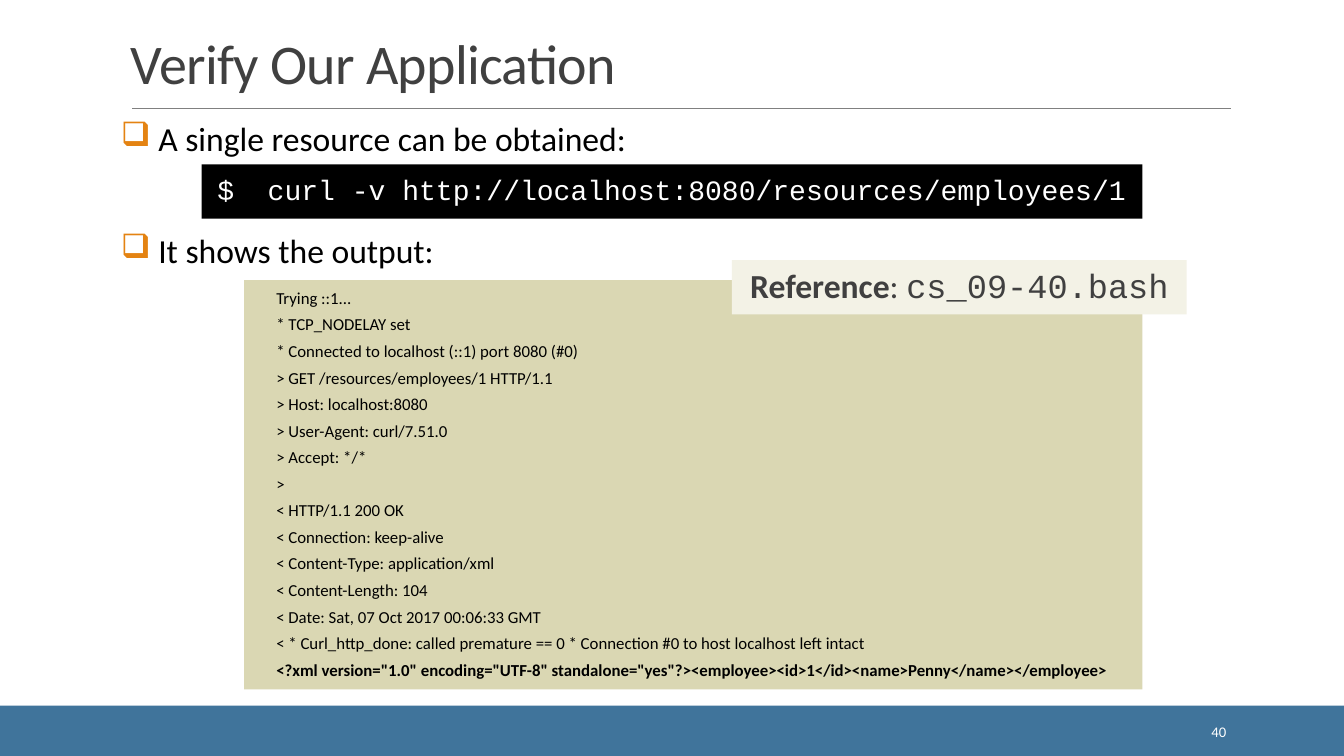
from lxml.etree import SubElement
from pptx import Presentation
from pptx.dml.color import RGBColor
from pptx.enum.shapes import MSO_CONNECTOR, MSO_SHAPE
from pptx.enum.text import MSO_ANCHOR, PP_ALIGN
from pptx.oxml.ns import qn
from pptx.util import Inches, Pt

COLORS = {
    "text": "000000",
    "heading": "404040",
    "white": "FFFFFF",
    "footer": "40749B",
    "rule": "808080",
    "bullet": "E48312",
    "terminal": "000000",
    "output": "DAD7B3",
    "reference": "F3F2E6",
}
SANS, MONO = "Calibri", "Courier New"

OUTPUT_LINES = [
    "Trying ::1...",
    "* TCP_NODELAY set",
    "* Connected to localhost (::1) port 8080 (#0)",
    "> GET /resources/employees/1 HTTP/1.1",
    "> Host: localhost:8080",
    "> User-Agent: curl/7.51.0",
    "> Accept: */*",
    ">",
    "< HTTP/1.1 200 OK",
    "< Connection: keep-alive",
    "< Content-Type: application/xml",
    "< Content-Length: 104",
    "< Date: Sat, 07 Oct 2017 00:06:33 GMT",
    "< * Curl_http_done: called premature == 0 * Connection #0 to host localhost left intact",
    '<?xml version="1.0" encoding="UTF-8" standalone="yes"?>'
    "<employee><id>1</id><name>Penny</name></employee>",
]


class SlideBuilder:
    def __init__(self, slide):
        self.s = slide

    def color(self, name):
        return RGBColor.from_string(COLORS[name])

    def frame(self, sp, anchor, inset):
        """Set wrapping, anchor and side insets of a shape's text."""
        tf = sp.text_frame
        tf.word_wrap = True
        tf.vertical_anchor = anchor
        tf.margin_left = tf.margin_right = Inches(inset)
        tf.margin_top = tf.margin_bottom = Inches(0.05)
        return tf

    def text_box(self, x, y, w, h, anchor=MSO_ANCHOR.TOP, inset=0.1):
        sp = self.s.shapes.add_textbox(Inches(x), Inches(y), Inches(w), Inches(h))
        return self.frame(sp, anchor, inset)

    def panel(self, x, y, w, h, fill):
        sp = self.s.shapes.add_shape(
            MSO_SHAPE.RECTANGLE, Inches(x), Inches(y), Inches(w), Inches(h))
        sp.shadow.inherit = False
        sp.fill.solid()
        sp.fill.fore_color.rgb = self.color(fill)
        sp.line.fill.background()
        return self.frame(sp, MSO_ANCHOR.MIDDLE, 0)

    def rule(self, x1, x2, y):
        line = self.s.shapes.add_connector(
            MSO_CONNECTOR.STRAIGHT, Inches(x1), Inches(y), Inches(x2), Inches(y))
        line.line.color.rgb = self.color("rule")
        line.line.width = Pt(0.5)
        SubElement(line._element.spPr, qn("a:effectLst"))

    def paragraph(self, tf, first=True, align=PP_ALIGN.LEFT, spacing=0.9,
                  before=0, after=0, margin=0, indent=0):
        p = tf.paragraphs[0] if first else tf.add_paragraph()
        p.alignment = align
        p.line_spacing = spacing
        p.space_before = Pt(0 if first else before)
        p.space_after = Pt(after)
        pPr = p._p.get_or_add_pPr()
        pPr.set("marL", str(Inches(margin)))
        pPr.set("indent", str(Inches(indent)))
        return p

    def bullet(self, p, char):
        pPr = p._p.get_or_add_pPr()
        clr = SubElement(pPr, qn("a:buClr"))
        SubElement(clr, qn("a:srgbClr"), val=COLORS["bullet"])
        SubElement(pPr, qn("a:buChar"), char=char)

    def run(self, p, text, size, color="text", font=SANS, bold=False):
        r = p.add_run()
        r.text = text
        r.font.size = Pt(size)
        r.font.name = font
        r.font.bold = bold
        r.font.color.rgb = self.color(color)
        return r


def main():
    prs = Presentation()
    prs.slide_width, prs.slide_height = Inches(13.33), Inches(7.5)
    b = SlideBuilder(prs.slides.add_slide(prs.slide_layouts[6]))

    b.panel(0, 7, 13.33, 0.5, "footer")
    b.rule(1.31, 12.21, 1.08)

    title = b.text_box(1.2, 0.31, 11, 0.69, MSO_ANCHOR.BOTTOM)
    p = b.paragraph(title, spacing=0.85)
    r = b.run(p, "Verify Our Application", 40, "heading")
    r.font._element.set("spc", "-50")

    body = b.text_box(1.2, 1.17, 11, 5.67, inset=0)
    for i, text in enumerate(["A single resource can be obtained:",
                              "It shows the output:"]):
        p = b.paragraph(body, i == 0, before=52, after=2, margin=0.37, indent=-0.37)
        b.bullet(p, "❑")
        b.run(p, text, 24)

    number = b.text_box(10.83, 7.06, 1.43, 0.4, MSO_ANCHOR.MIDDLE)
    p = b.paragraph(number, align=PP_ALIGN.RIGHT, spacing=1.0)
    b.run(p, "40", 10.5, "white")

    terminal = b.panel(2, 1.63, 9.33, 0.54, "terminal")
    p = b.paragraph(terminal, align=PP_ALIGN.CENTER, after=2)
    b.run(p, "$  curl -v http://localhost:8080/resources/employees/1", 20, "white", MONO)

    output = b.panel(2.42, 2.78, 8.91, 4.06, "output")
    for i, text in enumerate(OUTPUT_LINES):
        p = b.paragraph(output, i == 0, before=2, after=4, margin=0.32)
        b.run(p, text, 12, bold=text.startswith("<?xml"))

    reference = b.panel(7.26, 2.58, 4.51, 0.54, "reference")
    p = b.paragraph(reference, align=PP_ALIGN.CENTER, after=2)
    b.run(p, "Reference", 24, "heading", bold=True)
    b.run(p, ": ", 24, "heading")
    b.run(p, "cs_09-40.bash", 24, "heading", MONO)

    prs.save("out.pptx")


if __name__ == "__main__":
    main()
